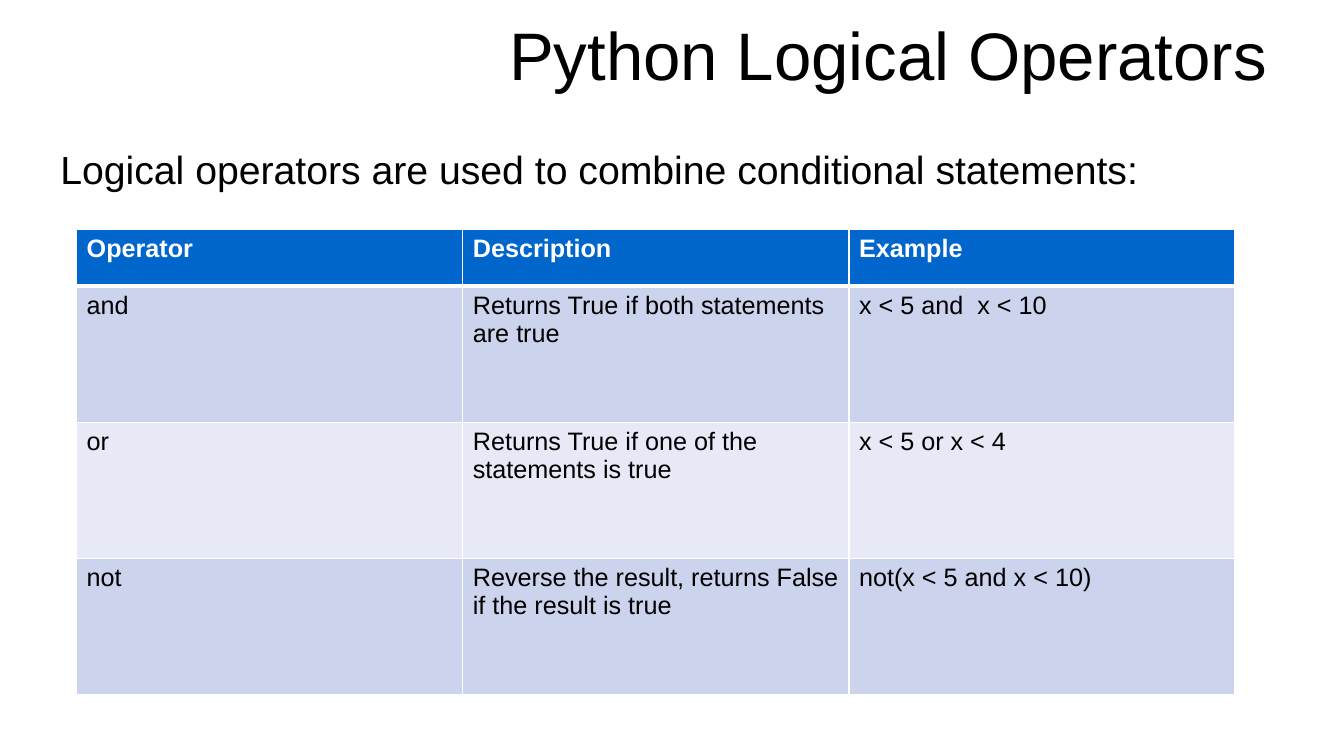
from dataclasses import dataclass

from lxml.etree import SubElement
from pptx import Presentation
from pptx.dml.color import RGBColor
from pptx.enum.text import MSO_ANCHOR, PP_ALIGN
from pptx.oxml.ns import qn
from pptx.util import Inches, Pt


@dataclass(frozen=True)
class Theme:
    font: str = "Arial"
    ink: str = "000000"
    white: str = "FFFFFF"
    header: str = "0066CC"
    bands: tuple = ("CCD3EC", "E7EAF6")
    title_size: int = 48
    lead_size: int = 28
    cell_size: int = 18
    rule: int = 1
    header_rule: int = 3


THEME = Theme()

OPERATORS = [
    ("Operator", "Description", "Example"),
    ("and", "Returns True if both statements are true", "x < 5 and  x < 10"),
    ("or", "Returns True if one of the statements is true", "x < 5 or x < 4"),
    ("not", "Reverse the result, returns False if the result is true",
     "not(x < 5 and x < 10)"),
]


def style_paragraph(p, size, color, bold=False):
    p.font.name = THEME.font
    p.font.size = Pt(size)
    p.font.bold = bold
    p.font.color.rgb = RGBColor.from_string(color)


def add_text(slide, text, box, size, align, anchor=MSO_ANCHOR.TOP):
    tf = slide.shapes.add_textbox(*map(Inches, box)).text_frame
    tf.word_wrap = True
    tf.vertical_anchor = anchor
    p = tf.paragraphs[0]
    p.text = text
    p.alignment = align
    style_paragraph(p, size, THEME.ink)
    return p


def set_borders(cell, top, bottom):
    """Draw white borders; the side borders have the normal rule width."""
    tc_pr = cell._tc.get_or_add_tcPr()
    widths = {"L": THEME.rule, "R": THEME.rule, "T": top, "B": bottom}
    for side, width in widths.items():
        ln = SubElement(tc_pr, qn(f"a:ln{side}"), w=str(Pt(width)))
        fill = SubElement(ln, qn("a:solidFill"))
        SubElement(fill, qn("a:srgbClr"), val=THEME.white)


def fill_cell(cell, text, row):
    is_header = row == 0
    set_borders(cell,
                top=THEME.header_rule if row == 1 else THEME.rule,
                bottom=THEME.header_rule if is_header else THEME.rule)
    cell.fill.solid()
    color = THEME.header if is_header else THEME.bands[(row - 1) % 2]
    cell.fill.fore_color.rgb = RGBColor.from_string(color)
    cell.text = text
    style_paragraph(cell.text_frame.paragraphs[0], THEME.cell_size,
                    THEME.white if is_header else THEME.ink, bold=is_header)


def add_operator_table(slide, rows, box, header_height):
    left, top, width, height = map(Inches, box)
    table = slide.shapes.add_table(
        len(rows), len(rows[0]), left, top, width, height).table
    body_height = (height - Inches(header_height)) // (len(rows) - 1)
    for i, texts in enumerate(rows):
        table.rows[i].height = body_height if i else Inches(header_height)
        for j, text in enumerate(texts):
            fill_cell(table.cell(i, j), text, i)


def main():
    prs = Presentation()
    prs.slide_width, prs.slide_height = Inches(13.33), Inches(7.5)
    slide = prs.slides.add_slide(prs.slide_layouts[6])

    add_text(slide, "Python Logical Operators", (0.67, 0.21, 12, 0.64),
             THEME.title_size, PP_ALIGN.RIGHT, MSO_ANCHOR.MIDDLE)
    lead = add_text(
        slide, "Logical operators are used to combine conditional statements:",
        (0.5, 1.39, 12.83, 6.11), THEME.lead_size, PP_ALIGN.JUSTIFY)
    lead.space_before = Pt(0.2 * THEME.lead_size)
    add_operator_table(slide, OPERATORS, (0.76, 2.28, 11.49, 4.61), 0.56)

    prs.save("out.pptx")


if __name__ == "__main__":
    main()
